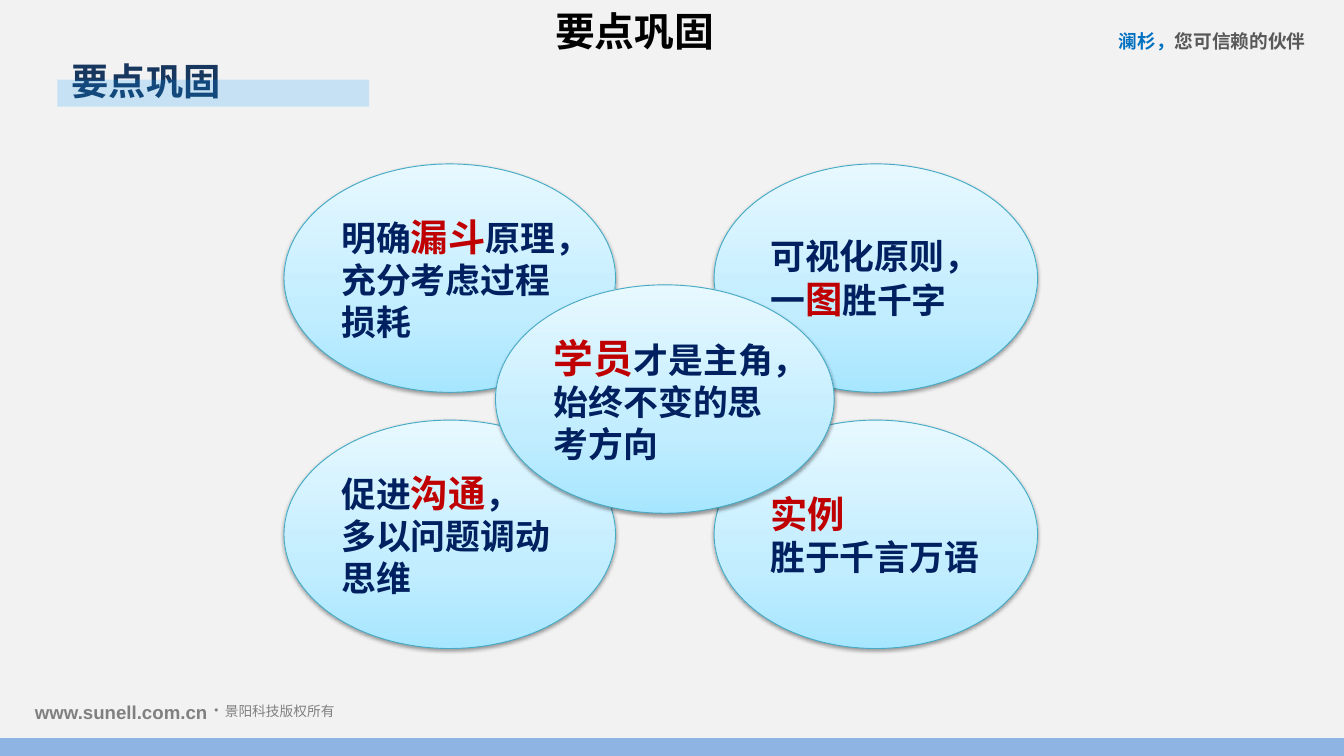
import pptx
import pptx.dml.color
import pptx.enum.shapes
import pptx.enum.text
import pptx.oxml
import pptx.oxml.ns
import pptx.util
from pptx.util import Inches

RGBColor = pptx.dml.color.RGBColor
ALIGN = pptx.enum.text.PP_ALIGN
SHAPE = pptx.enum.shapes.MSO_SHAPE

BACKDROP = RGBColor(0xF2, 0xF2, 0xF2)
FOOTER_BLUE = RGBColor(0x8E, 0xB4, 0xE3)
HIGHLIGHT_BLUE = RGBColor(0x00, 0x99, 0xFF)
SLOGAN_BLUE = RGBColor(0x00, 0x70, 0xC0)
SLOGAN_GRAY = RGBColor(0x59, 0x59, 0x59)
FOOTER_GRAY = RGBColor(0x80, 0x80, 0x80)
BLACK = RGBColor(0x00, 0x00, 0x00)
HEADING_NAVY = RGBColor(0x17, 0x37, 0x5E)
NAVY = RGBColor(0x00, 0x20, 0x60)
RED = RGBColor(0xC0, 0x00, 0x00)
OUTLINE = RGBColor(0x46, 0xAA, 0xC5)

CJK_FONT = "Noto Sans CJK SC"
NAMESPACE = pptx.oxml.ns.nsdecls("a")
GRADIENT = f"""<a:gradFill {NAMESPACE} rotWithShape="1"><a:gsLst>
<a:gs pos="0"><a:srgbClr val="A7E6FF"/></a:gs>
<a:gs pos="35000"><a:srgbClr val="C1EDFF"/></a:gs>
<a:gs pos="100000"><a:srgbClr val="E7F8FF"/></a:gs>
</a:gsLst><a:lin ang="16200000" scaled="1"/></a:gradFill>"""
SHADOW = f"""<a:effectLst {NAMESPACE}>
<a:outerShdw blurRad="40000" dist="20000" dir="5400000" rotWithShape="0">
<a:srgbClr val="000000"><a:alpha val="38000"/></a:srgbClr>
</a:outerShdw></a:effectLst>"""


def add_span(para, text, size, color, font=CJK_FONT, bold=True):
    span = para.add_run()
    span.text = text
    span.font.size = pptx.util.Pt(size)
    span.font.bold = bold
    span.font.color.rgb = color
    span.font.name = font
    span._r.get_or_add_rPr().append(
        pptx.oxml.parse_xml(f'<a:ea {NAMESPACE} typeface="{CJK_FONT}"/>'))


def add_bar(slide, place, color):
    bar = slide.shapes.add_shape(SHAPE.RECTANGLE, *map(Inches, place))
    bar.shadow.inherit = False
    bar.fill.solid()
    bar.fill.fore_color.rgb = color
    bar.line.fill.background()
    return bar


deck = pptx.Presentation()
deck.slide_width = Inches(15)
deck.slide_height = Inches(8.44)
page = deck.slides.add_slide(deck.slide_layouts[6])

add_bar(page, (0, 0, 15, 8.44), BACKDROP)
add_bar(page, (0, 8.24, 15, 0.2), FOOTER_BLUE)

# Place, insets (side, top), wrap, alignment, line spacing, spans
labels = [
    ((12.31, 0.25, 2.41, 0.4), (0.15, 0.08), False, ALIGN.RIGHT, None,
     [("澜杉，", 15, SLOGAN_BLUE), ("您可信赖的伙伴", 15, SLOGAN_GRAY)]),
    ((0.24, 7.69, 2.25, 0.45), (0.15, 0.08), False, ALIGN.LEFT, 1.2,
     [("www.sunell.com.cn", 15, FOOTER_GRAY, "Arial")]),
    ((2.24, 7.82, 0.36, 0.25), (0.15, 0.08), False, ALIGN.LEFT, None,
     [("●", 6, FOOTER_GRAY, "Arial")]),
    ((2.36, 7.73, 1.54, 0.37), (0.15, 0.08), False, ALIGN.LEFT, 1.2,
     [("景阳科技版权所有", 11, FOOTER_GRAY, "Arial", False)]),
    ((1.59, 0, 10.99, 0.82), (0.15, 0.08), True, ALIGN.CENTER, None,
     [("要点巩固", 32, BLACK, "Calibri")]),
    ((0.61, 0.56, 5.3, 0.59), (0.19, 0.09), True, ALIGN.LEFT, None,
     [("要点巩固", 30, HEADING_NAVY)]),
]
for place, (side, top), wrap, alignment, spacing, spans in labels:
    box = page.shapes.add_textbox(*map(Inches, place))
    frame = box.text_frame
    frame.word_wrap = wrap
    frame.margin_left = frame.margin_right = Inches(side)
    frame.margin_top = frame.margin_bottom = Inches(top)
    para = frame.paragraphs[0]
    para.alignment = alignment
    if spacing:
        para.line_spacing = spacing
    for span in spans:
        add_span(para, *span)

highlight = add_bar(page, (0.64, 0.89, 3.48, 0.3), HIGHLIGHT_BLUE)
highlight_color = highlight.fill._xPr.find(".//" + pptx.oxml.ns.qn("a:srgbClr"))
highlight_color.append(
    pptx.oxml.parse_xml(f'<a:alpha {NAMESPACE} val="18000"/>'))

# Left, top, width, paragraphs of spans
bubbles = [
    (3.17, 1.83, 3.7, [[("明确", 28, NAVY), ("漏斗", 30, RED),
                        ("原理，充分考虑过程损耗", 28, NAVY)]]),
    (7.97, 1.83, 3.61, [[("可视化原则，一", 28, NAVY), ("图", 30, RED),
                         ("胜千字", 28, NAVY)]]),
    (7.97, 4.69, 3.61, [[("实例", 30, RED)], [("胜于千言万语", 28, NAVY)]]),
    (3.17, 4.69, 3.7, [[("促进", 28, NAVY), ("沟通", 30, RED), ("，", 28, NAVY)],
                       [("多以问题调动思维", 28, NAVY)]]),
    (5.53, 3.18, 3.78, [[("学员", 32, RED),
                         ("才是主角，始终不变的思考方向", 28, NAVY)]]),
]
for left, top, width, paragraphs in bubbles:
    bubble = page.shapes.add_shape(
        SHAPE.OVAL, Inches(left), Inches(top), Inches(width), Inches(2.55))
    properties = bubble._element.spPr
    properties.append(pptx.oxml.parse_xml(GRADIENT))
    bubble.line.color.rgb = OUTLINE
    bubble.line.width = pptx.util.Pt(0.75)
    properties.append(pptx.oxml.parse_xml(SHADOW))
    frame = bubble.text_frame
    frame.word_wrap = True
    frame.vertical_anchor = pptx.enum.text.MSO_ANCHOR.MIDDLE
    for index, spans in enumerate(paragraphs):
        para = frame.add_paragraph() if index else frame.paragraphs[0]
        para.alignment = ALIGN.LEFT
        for span in spans:
            add_span(para, *span)

deck.save("out.pptx")
